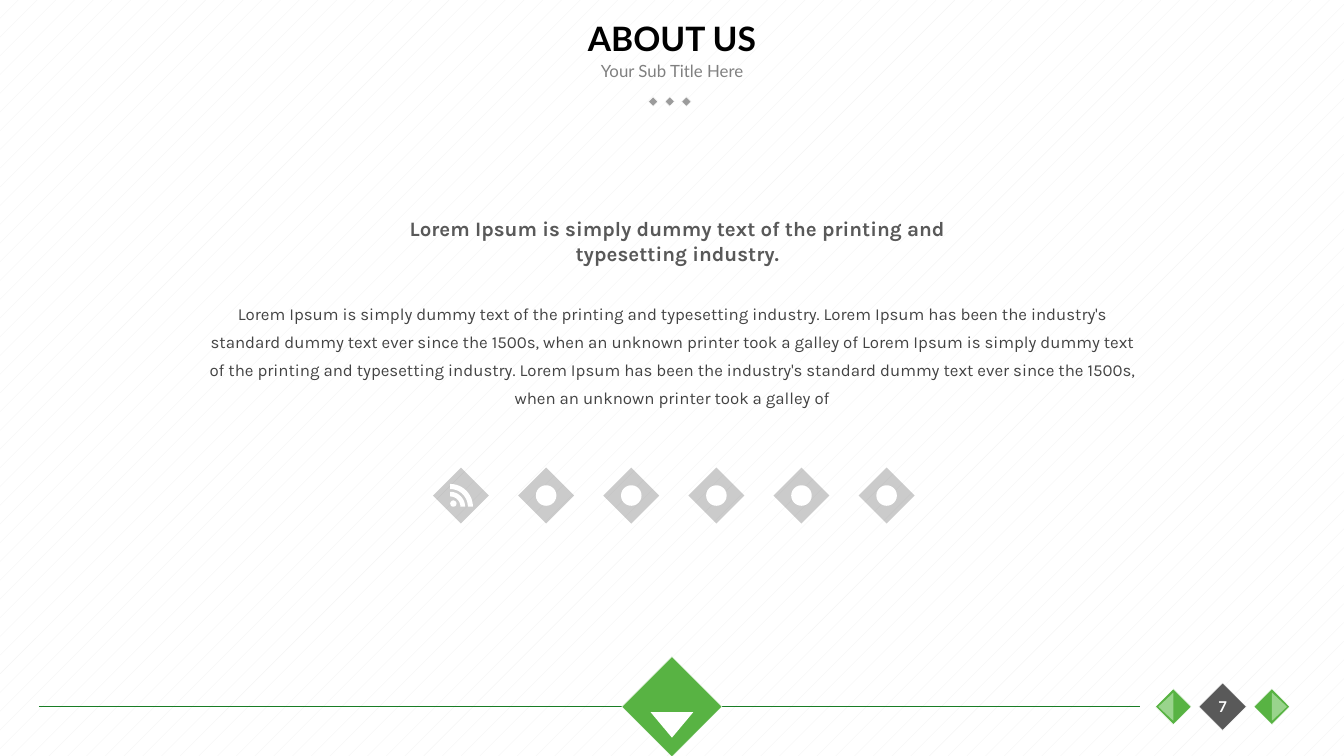
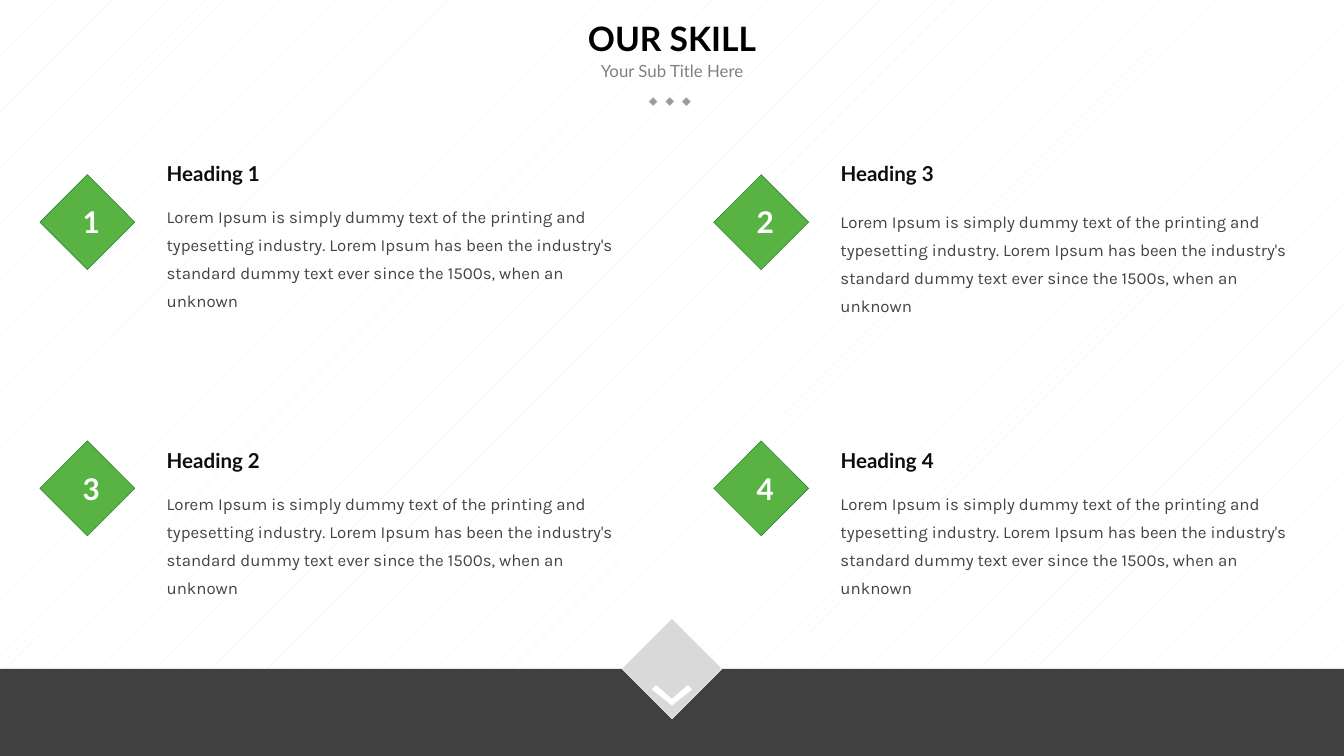
from dataclasses import dataclass
from math import cos, pi, sin

from lxml.etree import SubElement
from pptx import Presentation
from pptx.dml.color import RGBColor
from pptx.enum.dml import MSO_PATTERN
from pptx.enum.shapes import MSO_CONNECTOR, MSO_SHAPE
from pptx.enum.text import MSO_ANCHOR, MSO_AUTO_SIZE, PP_ALIGN
from pptx.oxml.ns import qn
from pptx.presentation import Presentation as Deck
from pptx.shapes.base import BaseShape
from pptx.slide import Slide
from pptx.text.text import TextFrame
from pptx.util import Pt

BLACK = RGBColor(0x00, 0x00, 0x00)
NEAR_BLACK = RGBColor(0x0D, 0x0D, 0x0D)
CHARCOAL = RGBColor(0x40, 0x40, 0x40)
BODY_GRAY = RGBColor(0x43, 0x43, 0x43)
DARK_GRAY = RGBColor(0x59, 0x59, 0x59)
MID_GRAY = RGBColor(0x80, 0x80, 0x80)
DOT_GRAY = RGBColor(0x9B, 0x9B, 0x9B)
LIGHT_GRAY = RGBColor(0xD9, 0xD9, 0xD9)
PATTERN_GRAY = RGBColor(0xF2, 0xF2, 0xF2)
WHITE = RGBColor(0xFF, 0xFF, 0xFF)
GREEN = RGBColor(0x58, 0xB3, 0x43)
PALE_GREEN = RGBColor(0x99, 0xD4, 0x8C)
LINE_GREEN = RGBColor(0x19, 0x7D, 0x25)
EDGE_GREEN = RGBColor(0x1C, 0x7D, 0x28)

Point = tuple[float, float]
CENTER_X = 360
COLUMN_STEP = 361
HEADING_STEP = 153.5
BADGE_STEP = 142.6

TAGLINE = "Lorem Ipsum is simply dummy text of the printing and typesetting industry."
SKILL_TEXT = (
    f"{TAGLINE} Lorem Ipsum has been the industry's standard dummy text "
    "ever since the 1500s, when an unknown"
)
ABOUT_TEXT = f"{SKILL_TEXT} printer took a galley of {SKILL_TEXT} printer took a galley of"


@dataclass(frozen=True)
class Box:
    left: float
    top: float
    width: float
    height: float


@dataclass(frozen=True)
class TextStyle:
    font: str
    size: float
    color: RGBColor
    bold: bool = False
    align: PP_ALIGN = PP_ALIGN.LEFT
    line_spacing: float | None = None


@dataclass(frozen=True)
class Skill:
    number: str
    heading: str
    column: int
    row: int
    body_top: float


TITLE = TextStyle("Lato", 18, BLACK, True, PP_ALIGN.CENTER)
SUBTITLE = TextStyle("Lato", 9, MID_GRAY, align=PP_ALIGN.CENTER)
PAGE_NUMBER = TextStyle("Lato", 8, WHITE, True, PP_ALIGN.CENTER)
BADGE_NUMBER = TextStyle("Lato", 16, WHITE, True, PP_ALIGN.CENTER)
HEADING = TextStyle("Lato", 11, NEAR_BLACK, True)
LEAD = TextStyle("Karla", 11, DARK_GRAY, True, PP_ALIGN.CENTER)
BODY = TextStyle("Karla", 9, BODY_GRAY, line_spacing=15)
CENTERED_BODY = TextStyle("Karla", 9, BODY_GRAY, False, PP_ALIGN.CENTER, 15)

SKILLS = (
    Skill("1", "Heading 1", 0, 0, 103),
    Skill("2", "Heading 3", 1, 0, 105.8),
    Skill("3", "Heading 2", 0, 1, 257),
    Skill("4", "Heading 4", 1, 1, 257),
)


def write(frame: TextFrame, text: str, style: TextStyle) -> None:
    frame.word_wrap = True
    paragraph = frame.paragraphs[0]
    paragraph.text = text
    paragraph.alignment = style.align
    if style.line_spacing:
        paragraph.line_spacing = Pt(style.line_spacing)
    paragraph.font.name = style.font
    paragraph.font.size = Pt(style.size)
    paragraph.font.bold = style.bold
    paragraph.font.color.rgb = style.color


def add_text(slide: Slide, box: Box, text: str, style: TextStyle, middle: bool = False) -> None:
    """Add a text box that grows with its text, or one of fixed height centred vertically."""
    shape = slide.shapes.add_textbox(Pt(box.left), Pt(box.top), Pt(box.width), Pt(box.height))
    frame = shape.text_frame
    write(frame, text, style)
    frame.auto_size = MSO_AUTO_SIZE.NONE if middle else MSO_AUTO_SIZE.SHAPE_TO_FIT_TEXT
    frame.vertical_anchor = MSO_ANCHOR.MIDDLE if middle else MSO_ANCHOR.TOP


def paint(shape: BaseShape, fill: RGBColor, line: RGBColor | None = None) -> None:
    shape.shadow.inherit = False
    shape.fill.solid()
    shape.fill.fore_color.rgb = fill
    if line is None:
        shape.line.fill.background()
    else:
        shape.line.color.rgb = line
        shape.line.width = Pt(0.25)


def add_preset(
    slide: Slide,
    kind: MSO_SHAPE,
    box: Box,
    fill: RGBColor,
    line: RGBColor | None = None,
    rotation: float = 0,
) -> BaseShape:
    shape = slide.shapes.add_shape(kind, Pt(box.left), Pt(box.top), Pt(box.width), Pt(box.height))
    shape.rotation = rotation
    paint(shape, fill, line)
    return shape


def add_tilted_square(
    slide: Slide,
    center: Point,
    side: float,
    fill: RGBColor,
    line: RGBColor = WHITE,
    rotation: float = 315,
) -> None:
    box = Box(center[0] - side / 2, center[1] - side / 2, side, side)
    add_preset(slide, MSO_SHAPE.RECTANGLE, box, fill, line, rotation)


def add_outline(slide: Slide, points: list[Point]) -> None:
    """Add a closed white polygon."""
    start, *rest = [(Pt(x), Pt(y)) for x, y in points]
    builder = slide.shapes.build_freeform(*start)
    builder.add_line_segments(rest, close=True)
    paint(builder.convert_to_shape(), WHITE)


def add_titled_slide(presentation: Deck, title: str) -> Slide:
    slide = presentation.slides.add_slide(presentation.slide_layouts.get_by_name("Title Only"))
    for x in (349.9, 358.8, 367.7):
        add_tilted_square(slide, (x, 54.4), 3.6, DOT_GRAY)
    add_text(slide, Box(270, 28.8, 180, 18), "Your Sub Title Here", SUBTITLE, middle=True)
    shape = slide.shapes.title
    shape.left, shape.top, shape.width, shape.height = Pt(54), Pt(0), Pt(612), Pt(40.3)
    frame = shape.text_frame
    frame.auto_size = MSO_AUTO_SIZE.NONE
    frame.vertical_anchor = MSO_ANCHOR.MIDDLE
    write(frame, title, TITLE)
    return slide


def add_navigation(slide: Slide, page: str) -> None:
    y = 378.6
    line = slide.shapes.add_connector(MSO_CONNECTOR.STRAIGHT, Pt(20.9), Pt(y), Pt(610.5), Pt(y))
    line.line.color.rgb = LINE_GREEN
    line.line.width = Pt(0.75)
    SubElement(line._element.spPr, qn("a:effectLst"))

    middle = 655
    add_tilted_square(slide, (middle, y), 18, DARK_GRAY)
    for direction, rotation in ((-1, 270), (1, 90)):
        x = middle + direction * 26.4
        add_tilted_square(slide, (x, y), 13.6, GREEN)
        half = Box(x + direction * 4 - 7.5, y - 4, 15, 8)
        add_preset(slide, MSO_SHAPE.FLOWCHART_EXTRACT, half, PALE_GREEN, rotation=rotation)
    add_text(slide, Box(middle - 15, y - 9, 30, 18), page, PAGE_NUMBER, middle=True)


def add_feed_symbol(slide: Slide, x: float, y: float) -> None:
    """Draw a dot and two quarter rings around the corner (x, y)."""
    add_preset(slide, MSO_SHAPE.OVAL, Box(x, y - 3.4, 3.4, 3.4), WHITE)
    angles = [pi / 2 * step / 12 for step in range(13)]
    for inner, outer in ((5.5, 8), (9.5, 12.2)):
        arc = [(outer, angle) for angle in angles] + [(inner, angle) for angle in angles[::-1]]
        add_outline(slide, [(x + r * cos(angle), y - r * sin(angle)) for r, angle in arc])


def add_social_row(slide: Slide) -> None:
    left, top, size, pitch, symbol = 232, 250.5, 30, 45.6, 11
    for index in range(6):
        x = left + index * pitch
        box = Box(x, top, size, size)
        diamond = add_preset(slide, MSO_SHAPE.DIAMOND, box, NEAR_BLACK)
        color = diamond._element.spPr.find(qn("a:solidFill"))[0]
        SubElement(color, qn("a:alpha"), val="21000")
        if index == 0:
            add_feed_symbol(slide, x + 9.2, top + 21)
        else:
            inset = (size - symbol) / 2
            add_preset(slide, MSO_SHAPE.OVAL, Box(x + inset, top + inset, symbol, symbol), WHITE)


def build_about(presentation: Deck) -> None:
    slide = add_titled_slide(presentation, "ABOUT US")
    add_navigation(slide, "7")
    add_text(slide, Box(102, 154.8, 516, 67.7), ABOUT_TEXT, CENTERED_BODY)
    add_text(slide, Box(210, 112.3, 306, 33.8), TAGLINE, LEAD)
    add_social_row(slide)
    add_tilted_square(slide, (CENTER_X, 378.6), 38, GREEN)
    add_outline(slide, [(371.4, 381.6), (348.6, 381.6), (CENTER_X, 395.2)])


def add_skill(slide: Slide, skill: Skill) -> None:
    shift = skill.column * COLUMN_STEP
    text_left = 82.2 + shift
    heading_top = 82.8 + skill.row * HEADING_STEP
    badge_y = 119 + skill.row * BADGE_STEP
    add_text(slide, Box(text_left, heading_top, 162, 20.9), skill.heading, HEADING)
    add_text(slide, Box(text_left, skill.body_top, 258, 52.6), SKILL_TEXT, BODY)
    add_tilted_square(slide, (46.8 + shift, badge_y), 36, GREEN, EDGE_GREEN, 225)
    add_text(slide, Box(37.2 + shift, badge_y - 13.2, 19.4, 26.6), skill.number, BADGE_NUMBER)


def build_skills(presentation: Deck) -> None:
    slide = add_titled_slide(presentation, "OUR SKILL")
    for skill in SKILLS:
        add_skill(slide, skill)
    add_preset(slide, MSO_SHAPE.RECTANGLE, Box(0, 358.4, 720, 46.6), CHARCOAL)
    add_tilted_square(slide, (CENTER_X, 358.2), 38, LIGHT_GRAY)
    chevron = [(8.6, 367), (0, 374.4), (-8.6, 367), (-10.8, 369.4), (0, 378), (10.8, 369.4)]
    add_outline(slide, [(CENTER_X + x, y) for x, y in chevron])


def main() -> None:
    presentation = Presentation()
    presentation.slide_width, presentation.slide_height = Pt(720), Pt(405)
    background = presentation.slide_master.background.fill
    background.patterned()
    background.pattern = MSO_PATTERN.PERCENT_5
    background.fore_color.rgb = PATTERN_GRAY
    background.back_color.rgb = WHITE
    build_about(presentation)
    build_skills(presentation)
    presentation.save("out.pptx")


if __name__ == "__main__":
    main()
